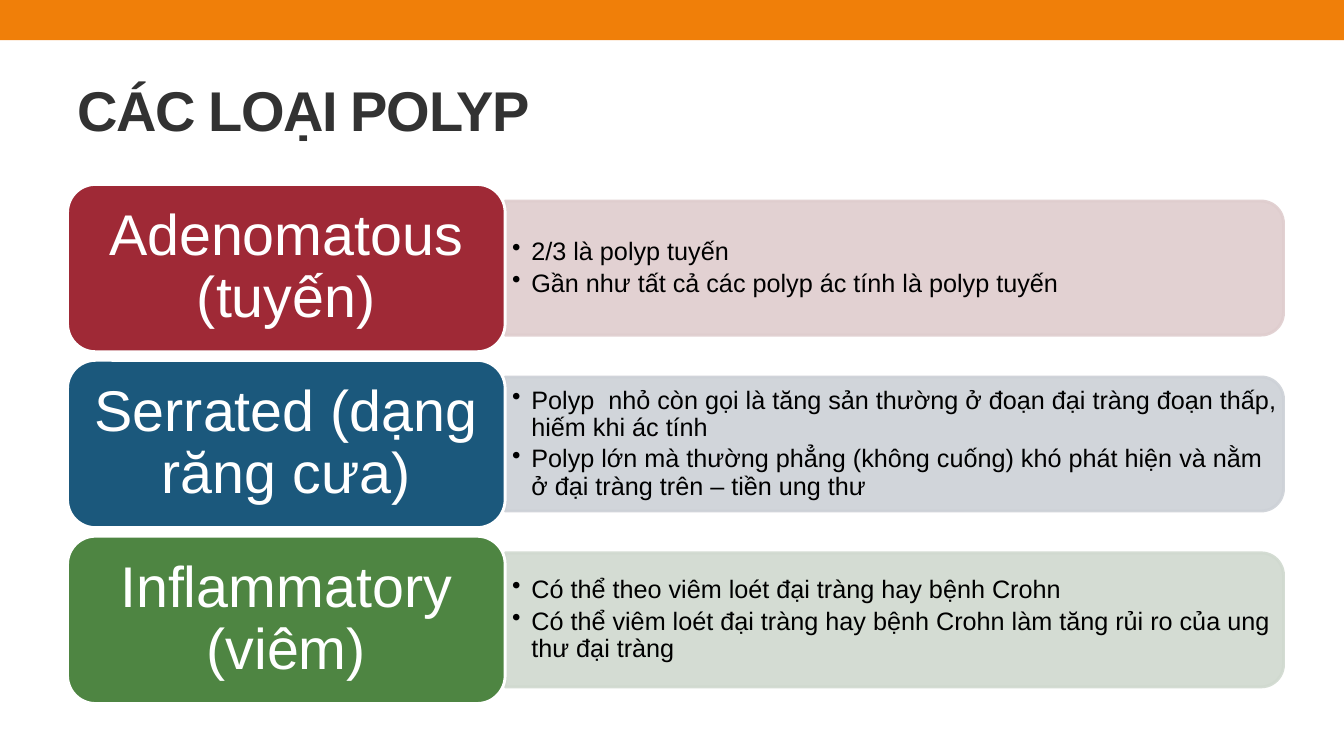
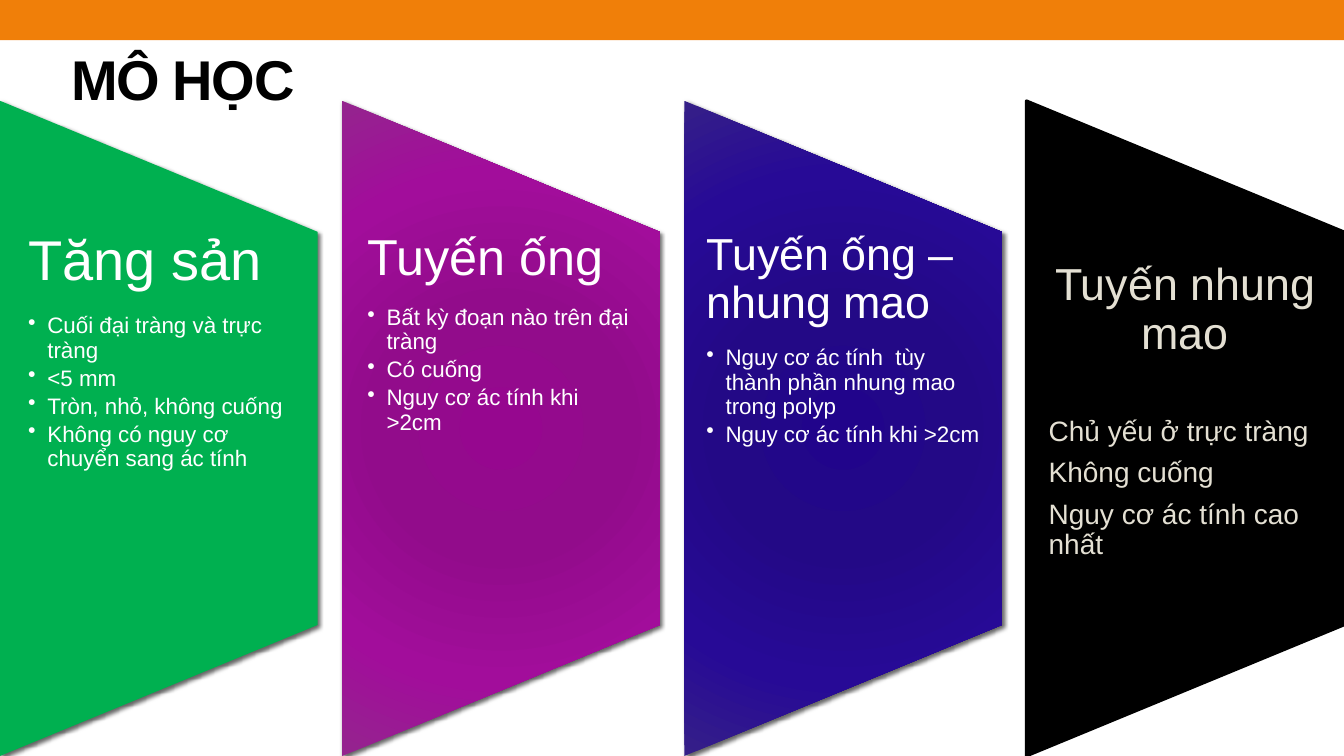
from lxml import etree
from pptx import Presentation
from pptx.dml.color import RGBColor
from pptx.enum.shapes import MSO_SHAPE
from pptx.enum.text import MSO_ANCHOR, PP_ALIGN
from pptx.oxml import parse_xml
from pptx.oxml.ns import nsdecls, qn
from pptx.util import Inches, Pt

RECT = MSO_SHAPE.RECTANGLE
ROUNDED = MSO_SHAPE.ROUNDED_RECTANGLE
TAB = MSO_SHAPE.ROUND_2_SAME_RECTANGLE
TRAPEZOID = MSO_SHAPE.FLOWCHART_MANUAL_OPERATION
TOP, MIDDLE = MSO_ANCHOR.TOP, MSO_ANCHOR.MIDDLE
LEFT, CENTER = PP_ALIGN.LEFT, PP_ALIGN.CENTER

SLIDE_W, SLIDE_H = 13.33, 7.5
FONT = "Arial"
ORANGE, CHARCOAL, WHITE, BLACK, CREAM = "F07F09", "323232", "FFFFFF", "000000", "E4E0D3"
OUTLINE = 2.08
HANG = 0.19
HEADING_GAP, BULLET_GAP = 0.4, 0.17

ROW_TOP, ROW_STEP, ROW_H = 1.83, 1.745, 1.66
LABEL_X, LABEL_W = 0.67, 4.34
DETAIL_W, DETAIL_H = 7.72, 1.33
COLUMN_W, COLUMN_H = 3.15, 6.5
COLUMN_STEP = (SLIDE_W - COLUMN_W) / 3
COLUMN_TOP = SLIDE_H - COLUMN_H - 0.0
COLUMN_TEXT_TOP, COLUMN_TEXT_H = 2.3, 3.9

POLYP_TYPES = [
    ("Adenomatous (tuyến)", "9F2936", "DFCDCE",
     ["2/3 là polyp tuyến",
      "Gần như tất cả các polyp ác tính là polyp tuyến"]),
    ("Serrated (dạng răng cưa)", "1B587C", "CDD1D7",
     ["Polyp  nhỏ còn gọi là tăng sản thường ở đoạn đại tràng đoạn thấp, hiếm khi ác tính",
      "Polyp lớn mà thường phẳng (không cuống) khó phát hiện và nằm ở đại tràng trên – tiền ung thư"]),
    ("Inflammatory (viêm)", "4E8542", "D0D9CF",
     ["Có thể theo viêm loét đại tràng hay bệnh Crohn",
      "Có thể viêm loét đại tràng hay bệnh Crohn làm tăng rủi ro của ung thư đại tràng"]),
]

PURPLES = [(0, "96078F"), (34, "920C8B"), (70, "A20D9B"), (100, "94248E")]
INDIGOS = [(0, "21048B"), (34, "230986"), (70, "270A96"), (100, "351F88")]
HISTOLOGY = [
    ("Tăng sản", 40, 0.28, "00B050",
     ["Cuối đại tràng và trực tràng", "<5 mm", "Tròn, nhỏ, không cuống",
      "Không có nguy cơ chuyển sang ác tính"]),
    ("Tuyến ống", 36, 0.25, PURPLES,
     ["Bất kỳ đoạn nào trên đại tràng", "Có cuống", "Nguy cơ ác tính khi >2cm"]),
    ("Tuyến ống – nhung mao", 32, 0.22, INDIGOS,
     ["Nguy cơ ác tính  tùy thành phần nhung mao trong polyp",
      "Nguy cơ ác tính khi >2cm"]),
]
VILLOUS_HEADING = "Tuyến nhung mao"
VILLOUS_FACTS = ["Chủ yếu ở trực tràng", "Không cuống", "Nguy cơ ác tính cao nhất"]


def rgb(color):
    """Turn a hex string into a colour."""
    return RGBColor.from_string(color)


def add_block(slide, kind, box, color, line=None, turn=0):
    """Add a filled preset shape without a shadow."""
    block = slide.shapes.add_shape(kind, *map(Inches, box))
    block.shadow.inherit = False
    block.rotation = turn
    block.fill.solid()
    block.fill.fore_color.rgb = rgb(color)
    if line:
        block.line.color.rgb = rgb(line)
        block.line.width = Pt(OUTLINE)
    else:
        block.line.fill.background()
    return block


def add_turned(slide, kind, box, turn, color, line=None):
    """Add a shape whose box is given as it looks after a quarter turn."""
    left, top, width, height = box
    shift = (width - height) / 2
    return add_block(slide, kind, (left + shift, top - shift, height, width),
                     color, line, turn)


def set_frame(shape, insets=(0.1, 0.05), anchor=TOP):
    """Set wrapping, insets and anchor, and return the text frame."""
    frame = shape.text_frame
    frame.word_wrap = True
    frame.margin_left = frame.margin_right = Inches(insets[0])
    frame.margin_top = frame.margin_bottom = Inches(insets[1])
    frame.vertical_anchor = anchor
    return frame


def add_text(slide, box, insets=(0.1, 0.05), anchor=TOP):
    """Add a text box and return its text frame."""
    return set_frame(slide.shapes.add_textbox(*map(Inches, box)), insets, anchor)


def write(frame, text, size, color, gap=0.0, align=LEFT, bullet=False, bold=False):
    """Write one paragraph, with the gap after it as a share of its size."""
    first = frame.paragraphs[0]
    paragraph = frame.add_paragraph() if first.runs else first
    paragraph.text = text
    paragraph.alignment = align
    paragraph.line_spacing = 0.9
    paragraph.space_after = Pt(size * gap)
    if bullet:
        properties = paragraph._p.get_or_add_pPr()
        properties.set("marL", str(Inches(HANG)))
        properties.set("indent", str(-Inches(HANG)))
        etree.SubElement(properties, qn("a:buChar")).set("char", "•")
    font = paragraph.runs[0].font
    font.name, font.size, font.bold = FONT, Pt(size), bold
    font.color.rgb = rgb(color)
    return paragraph


def write_bullets(frame, items, size, color):
    """Write a bulleted list."""
    for item in items:
        write(frame, item, size, color, BULLET_GAP, bullet=True)


def fade(block, percent):
    """Make the fill and line of a block partly opaque."""
    for color in block._element.spPr.iter(qn("a:srgbClr")):
        etree.SubElement(color, qn("a:alpha")).set("val", str(percent * 1000))


def fill_radial(block, stops):
    """Replace the fill of a block with a circular gradient."""
    marks = "".join(f'<a:gs pos="{place * 1000}"><a:srgbClr val="{color}"/></a:gs>'
                    for place, color in stops)
    gradient = parse_xml(
        f'<a:gradFill {nsdecls("a")} rotWithShape="1"><a:gsLst>{marks}</a:gsLst>'
        '<a:path path="circle"><a:fillToRect l="100000" t="100000" r="100000" b="100000"/>'
        '</a:path></a:gradFill>')
    properties = block._element.spPr
    properties.replace(properties.find(qn("a:solidFill")), gradient)


def cast_shadow(block):
    """Give a block a soft shadow to the lower right."""
    effects = block._element.spPr.find(qn("a:effectLst"))
    effects.append(parse_xml(
        f'<a:outerShdw {nsdecls("a")} blurRad="{Pt(3)}" dist="{Pt(2)}" dir="2700000" '
        'rotWithShape="0"><a:srgbClr val="000000"><a:alpha val="60000"/></a:srgbClr>'
        '</a:outerShdw>'))


def add_page(deck, title, box, color):
    """Add a blank slide with the top band and its title."""
    slide = deck.slides.add_slide(deck.slide_layouts[6])
    add_block(slide, RECT, (0, 0, SLIDE_W, 0.4), ORANGE)
    heading = write(add_text(slide, box, anchor=MIDDLE), title, 40, color, bold=True)
    heading.runs[0]._r.get_or_add_rPr().set("spc", "-100")
    return slide


def add_type_row(slide, row, label, color, tint, facts):
    """Add one polyp type: a label and a tinted panel of facts."""
    top = ROW_TOP + row * ROW_STEP
    detail_x = LABEL_X + LABEL_W
    panel_box = (detail_x, top + (ROW_H - DETAIL_H) / 2, DETAIL_W, DETAIL_H)
    fade(add_turned(slide, TAB, panel_box, 90, tint, tint), 90)
    fact_frame = add_text(slide, panel_box, (0.07, 0.04), MIDDLE)
    write_bullets(fact_frame, facts, 18, BLACK)
    tile = add_block(slide, ROUNDED, (LABEL_X, top, LABEL_W, ROW_H), color, WHITE)
    write(set_frame(tile, (0.17, 0.09), MIDDLE), label, 41, WHITE, align=CENTER)


def add_column(slide, column, color, inset, line=None):
    """Add one trapezoid column and return it with its text frame."""
    left = column * COLUMN_STEP
    panel = add_turned(slide, TRAPEZOID, (left, COLUMN_TOP, COLUMN_W, COLUMN_H),
                       270, color, line)
    text_box = (left, COLUMN_TEXT_TOP, COLUMN_W, COLUMN_TEXT_H)
    return panel, add_text(slide, text_box, (inset, 0))


def add_tissue_column(slide, column, heading, size, inset, paint, facts):
    """Add a shadowed column with a heading and bullets."""
    plain = isinstance(paint, str)
    panel, frame = add_column(slide, column, paint if plain else paint[0][1], inset)
    if not plain:
        fill_radial(panel, paint)
    cast_shadow(panel)
    write(frame, heading, size, WHITE, HEADING_GAP)
    write_bullets(frame, facts, 16, WHITE)


def add_villous_column(slide, column):
    """Add the black column with a centred heading and plain lines."""
    frame = add_column(slide, column, BLACK, 0.22, BLACK)[1]
    frame.margin_top = Inches(0.3)
    write(frame, VILLOUS_HEADING, 32, CREAM, 1.3, CENTER)
    for fact in VILLOUS_FACTS:
        write(frame, fact, 20, CREAM, HEADING_GAP)


def main():
    """Build both slides and save the deck."""
    deck = Presentation()
    deck.slide_width, deck.slide_height = Inches(SLIDE_W), Inches(SLIDE_H)

    types_page = add_page(deck, "CÁC LOẠI POLYP", (0.67, 0.58, 12, 1.08), CHARCOAL)
    for row, polyp_type in enumerate(POLYP_TYPES):
        add_type_row(types_page, row, *polyp_type)

    histology_page = add_page(deck, "MÔ HỌC", (0.61, 0.23, 10.78, 1.17), BLACK)
    for column, tissue in enumerate(HISTOLOGY):
        add_tissue_column(histology_page, column, *tissue)
    add_villous_column(histology_page, len(HISTOLOGY))

    deck.save("out.pptx")


if __name__ == "__main__":
    main()
